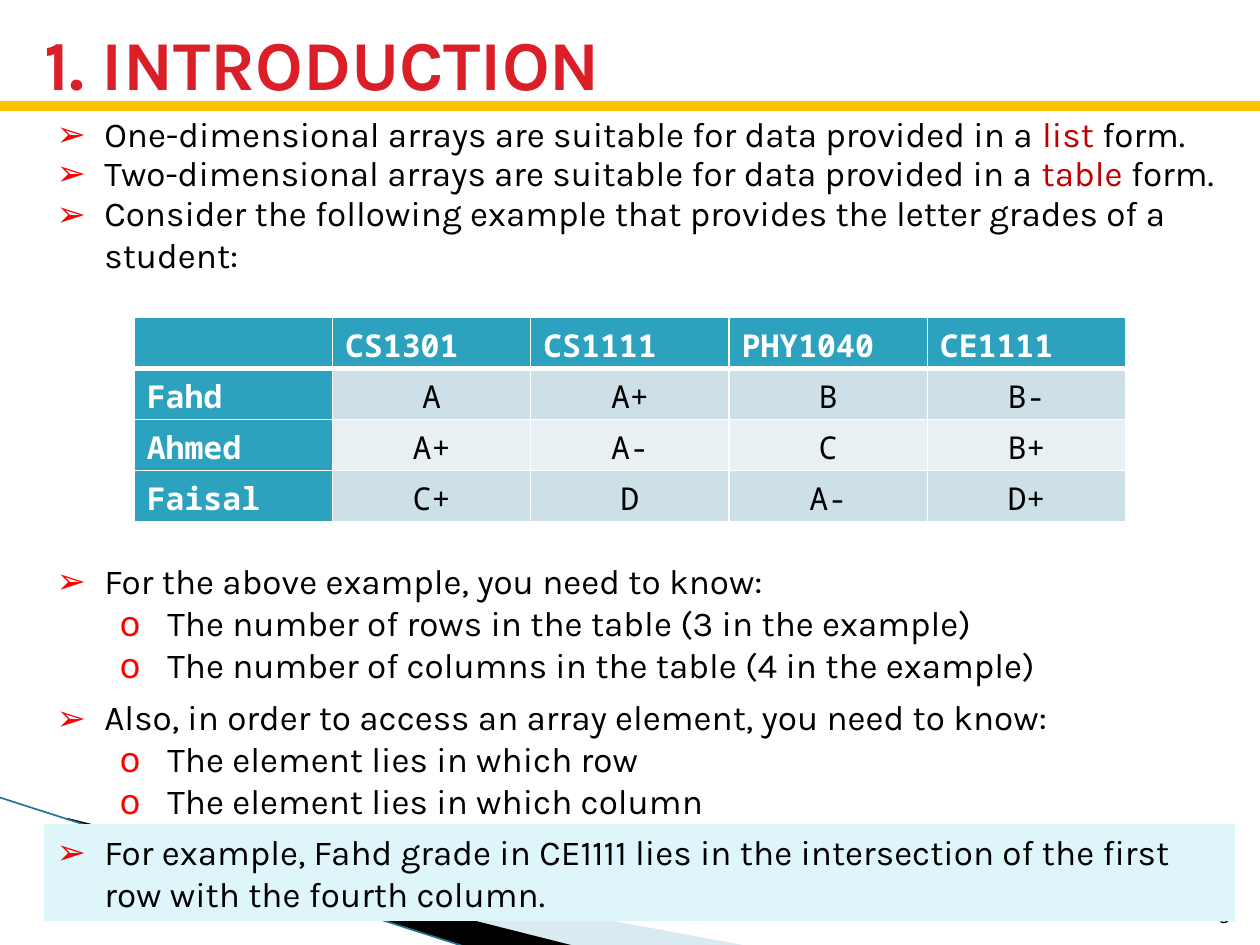
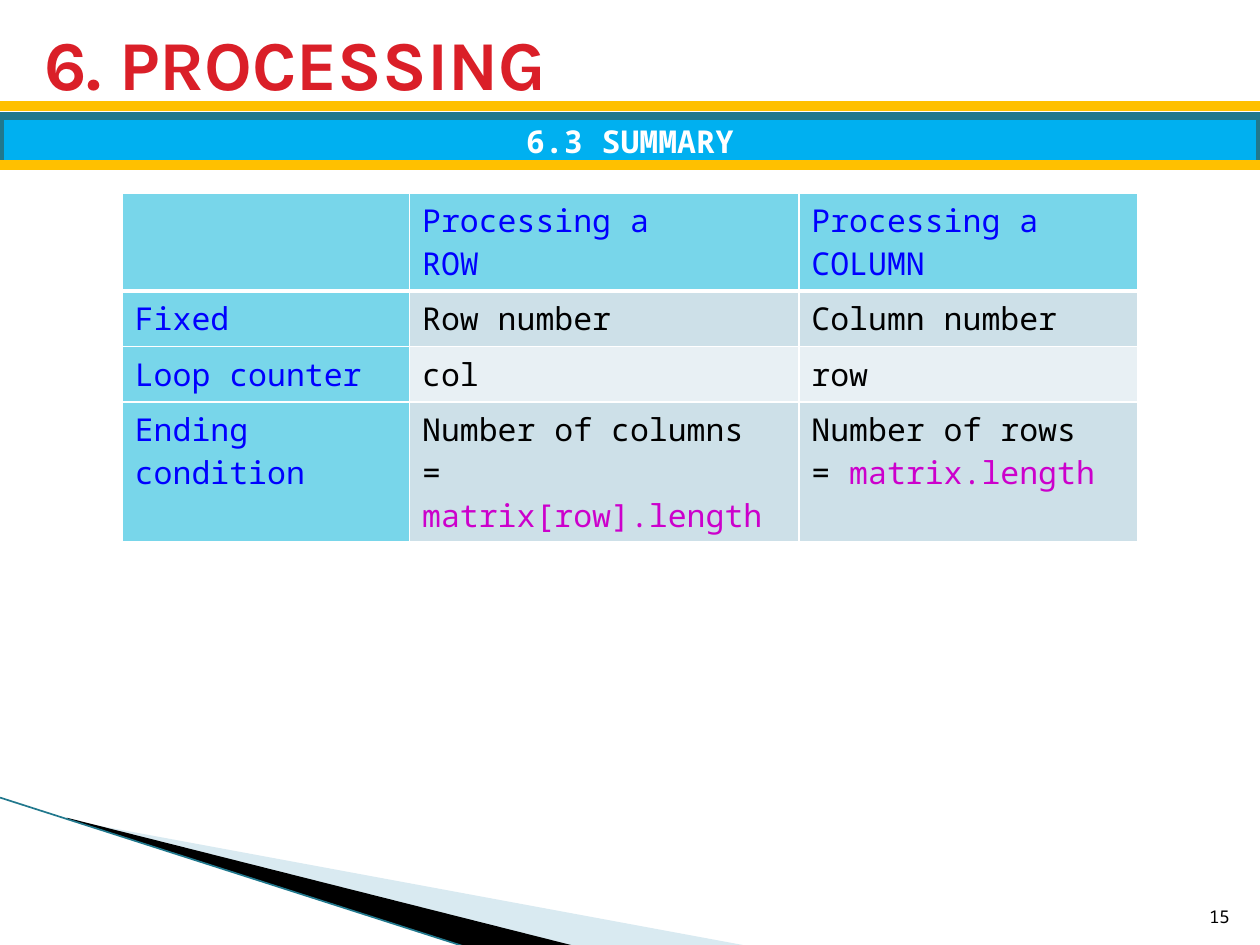
from lxml import etree
from pptx import Presentation
from pptx import util as u
from pptx.dml.color import RGBColor
from pptx.enum import shapes, text
from pptx.oxml.ns import qn

# The slide is a grid of 100 columns and 75 rows of square units.
COLUMNS, ROWS = 100, 75
UNIT = u.Inches(0.1)

TITLE_FONT, CODE_FONT = "Karla", "Noto Sans Mono"
TITLE_RED = RGBColor(0xDA, 0x1F, 0x28)
KEYWORD_RED = RGBColor(0xC0, 0x00, 0x00)
BULLET_RED = RGBColor(0xFF, 0x00, 0x00)
GOLD = RGBColor(0xFF, 0xC0, 0x00)
BLACK = RGBColor(0x00, 0x00, 0x00)
WHITE = RGBColor(0xFF, 0xFF, 0xFF)
TEAL = RGBColor(0x2D, 0xA2, 0xBF)
DARK_TEAL = RGBColor(0x21, 0x78, 0x8D)
AQUA = RGBColor(0x78, 0xD6, 0xEA)
PALE_AQUA = RGBColor(0xDE, 0xF5, 0xFA)
SKY = RGBColor(0x00, 0xB0, 0xF0)
SWOOSH_BLUE = RGBColor(0xD9, 0xEA, 0xF1)
HEADER_BLUE = RGBColor(0x00, 0x00, 0xFF)
CODE_PURPLE = RGBColor(0xCC, 0x00, 0xCC)
ROW_BANDS = [RGBColor(0xCD, 0xE0, 0xE8), RGBColor(0xE8, 0xF0, 0xF4)]

LEFT = text.PP_ALIGN.LEFT
CENTER = text.PP_ALIGN.CENTER
RIGHT = text.PP_ALIGN.RIGHT


def grid(*lengths):
    return [u.Emu(round(length * UNIT)) for length in lengths]


def set_paragraph(paragraph, content, size, font, color, bold=False, align=LEFT):
    """Fill a paragraph; content is a string or a list of strings and (string, colour) pairs."""
    paragraph.alignment = align
    paragraph.font.size = u.Pt(size)
    paragraph.font.name = font
    paragraph.font.bold = bold
    paragraph.font.color.rgb = color
    for part in [content] if isinstance(content, str) else content:
        words, accent = (part, None) if isinstance(part, str) else part
        run = paragraph.add_run()
        run.text = words
        if accent is not None:
            run.font.color.rgb = accent


def add_paragraphs(frame, contents):
    """Yield each content with its own paragraph, using the first one already there."""
    for index, content in enumerate(contents):
        yield (frame.add_paragraph() if index else frame.paragraphs[0]), content


def set_bullet(paragraph, level):
    paragraph.level = level
    properties = paragraph._p.get_or_add_pPr()
    properties.set("marL", str(u.Inches(0.38 + 0.5 * level)))
    properties.set("indent", str(-u.Inches(0.38)))
    color = etree.SubElement(properties, qn("a:buClr"))
    etree.SubElement(color, qn("a:srgbClr"), val=str(BULLET_RED))
    etree.SubElement(properties, qn("a:buFont"), typeface=CODE_FONT)
    etree.SubElement(properties, qn("a:buChar"), char="➢o"[level])


def add_line(slide, start, end, color, width):
    line = slide.shapes.add_connector(
        shapes.MSO_CONNECTOR.STRAIGHT, *grid(*start, *end))
    line.line.color.rgb = color
    line.line.width = u.Pt(width)
    etree.SubElement(line._element.spPr, qn("a:effectLst"))


def add_rule(slide, row):
    add_line(slide, (0, row), (COLUMNS, row), GOLD, 6)


def add_block(slide, box, fill):
    block = slide.shapes.add_shape(shapes.MSO_SHAPE.RECTANGLE, *grid(*box))
    block.shadow.inherit = False
    block.fill.solid()
    block.fill.fore_color.rgb = fill
    block.line.fill.background()
    block.text_frame.word_wrap = True
    return block


def add_swoosh(slide):
    """Draw the blue and black wedges and the thin line in the lower left corner."""
    wedges = [
        (SWOOSH_BLUE, [(5.5, 65.1), (59.5, 75.1), (45.6, 75.1), (5.5, 65)]),
        (BLACK, [(5.3, 64.9), (45.7, 75.1), (37.2, 75.2), (5.4, 65)]),
    ]
    for color, corners in wedges:
        points = [grid(*corner) for corner in corners]
        outline = slide.shapes.build_freeform(*points[0])
        outline.add_line_segments(points[1:])
        wedge = outline.convert_to_shape()
        wedge.shadow.inherit = False
        wedge.fill.solid()
        wedge.fill.fore_color.rgb = color
        wedge.line.fill.background()
    add_line(slide, (0, 63.3), (37.1, 75.2), DARK_TEAL, 0.95)


def add_page(deck, heading, number):
    """Add a slide with the shared title, rule, swoosh and slide number."""
    slide = deck.slides.add_slide(deck.slide_layouts[5])
    add_swoosh(slide)
    add_rule(slide, 8.4)

    title = slide.shapes.title
    title.left, title.top, title.width, title.height = grid(2.5, 1.7, 94.7, 6.5)
    title.text_frame.vertical_anchor = text.MSO_ANCHOR.MIDDLE
    set_paragraph(title.text_frame.paragraphs[0], heading, 40, TITLE_FONT, TITLE_RED, True)

    footer = slide.shapes.add_textbox(*grid(94.6, 70.1, 4, 4)).text_frame
    footer.word_wrap = True
    footer.vertical_anchor = text.MSO_ANCHOR.BOTTOM
    set_paragraph(footer.paragraphs[0], str(number), 10, CODE_FONT, BLACK, align=RIGHT)
    return slide


def add_bullets(slide, top, height, point, subpoints=(), fill=None):
    box = (3.5, top, 94.5, height)
    if fill is None:
        frame = slide.shapes.add_textbox(*grid(*box)).text_frame
        frame.word_wrap = True
    else:
        frame = add_block(slide, box, fill).text_frame
    frame.vertical_anchor = text.MSO_ANCHOR.TOP
    for paragraph, content in add_paragraphs(frame, [point, *subpoints]):
        set_bullet(paragraph, 0 if content is point else 1)
        set_paragraph(paragraph, content, 20, TITLE_FONT, BLACK)


def add_section_band(slide, top, height, label):
    band = add_block(slide, (0, top, COLUMNS, height), SKY)
    band.line.color.rgb = DARK_TEAL
    band.line.width = u.Pt(4.33)
    band.text_frame.vertical_anchor = text.MSO_ANCHOR.MIDDLE
    set_paragraph(band.text_frame.paragraphs[0], label, 18, CODE_FONT, WHITE, True, CENTER)
    add_rule(slide, top + height)


def set_borders(cell, row):
    """Draw white borders, with a thick one under the header row."""
    widths = {"L": 1, "R": 1, "T": 3 if row == 1 else 1, "B": 3 if row == 0 else 1}
    properties = cell._tc.get_or_add_tcPr()
    for side, width in widths.items():
        border = etree.SubElement(properties, qn(f"a:ln{side}"), w=str(u.Pt(width)))
        fill = etree.SubElement(border, qn("a:solidFill"))
        etree.SubElement(fill, qn("a:srgbClr"), val=str(WHITE))


def add_grid_table(slide, corner, widths, heights, rows, head_fill, head_color,
                   head_bold=False, body_align=LEFT):
    """Add a table with a header row and column; each cell is a list of paragraphs."""
    table = slide.shapes.add_table(
        len(rows), len(widths), *grid(*corner, sum(widths), sum(heights))).table
    table.first_row = table.horz_banding = False
    for column, width in zip(table.columns, grid(*widths)):
        column.width = width
    for row, height in zip(table.rows, grid(*heights)):
        row.height = height

    for r, row in enumerate(rows):
        for c, lines in enumerate(row):
            cell = table.cell(r, c)
            is_head = r == 0 or c == 0
            set_borders(cell, r)
            cell.fill.solid()
            cell.fill.fore_color.rgb = head_fill if is_head else ROW_BANDS[(r - 1) % 2]
            contents = [lines] if isinstance(lines, str) else lines
            for paragraph, content in add_paragraphs(cell.text_frame, contents):
                if is_head:
                    set_paragraph(paragraph, content, 18, CODE_FONT, head_color, head_bold)
                else:
                    set_paragraph(paragraph, content, 18, CODE_FONT, BLACK, align=body_align)


def build_introduction(deck):
    slide = add_page(deck, "1. INTRODUCTION", 3)
    for top, form, dimension in [(8.4, "list", "One"), (11.5, "table", "Two")]:
        add_bullets(slide, top, 4.4, [
            f"{dimension}-dimensional arrays are suitable for data provided in a ",
            (f"{form} ", KEYWORD_RED), "form."])
    add_bullets(slide, 14.7, 7.7, "Consider the following example that provides "
                "the letter grades of a student:")

    grades = [
        ["", "CS1301", "CS1111", "PHY1040", "CE1111"],
        ["Fahd", "A", "A+", "B", "B-"],
        ["Ahmed", "A+", "A-", "C", "B+"],
        ["Faisal", "C+", "D", "A-", "D+"],
    ]
    add_grid_table(slide, (10.65, 25.2), [15.74] * 5, [4.05] * 4, grades,
                   TEAL, WHITE, head_bold=True, body_align=CENTER)

    add_bullets(slide, 43.9, 11.1, "For the above example, you need to know:", [
        "The number of rows in the table (3 in the example)",
        "The number of columns in the table (4 in the example)"])
    add_bullets(slide, 54.7, 11.1,
                "Also, in order to access an array element, you need to know:",
                ["The element lies in which row", "The element lies in which column"])
    add_bullets(slide, 65.4, 7.7, "For example, Fahd grade in CE1111 lies in the "
                "intersection of the first row with the fourth column.", fill=PALE_AQUA)


def build_summary(deck):
    slide = add_page(deck, "6. PROCESSING", 15)
    add_section_band(slide, 9.2, 3.9, "6.3 SUMMARY")
    summary = [
        ["", ["Processing a", "ROW"], "Processing a COLUMN"],
        ["Fixed", "Row number", "Column number"],
        ["Loop counter", "col", "row"],
        ["Ending condition",
         ["Number of columns", ["= ", ("matrix[row].length", CODE_PURPLE)]],
         ["Number of rows", ["= ", ("matrix.length", CODE_PURPLE)]]],
    ]
    add_grid_table(slide, (9.7, 15.3), [22.8, 30.9, 26.9], [7.8, 4.4, 4.4, 11.1],
                   summary, AQUA, HEADER_BLUE)


def main():
    deck = Presentation()
    deck.slide_width, deck.slide_height = grid(COLUMNS, ROWS)
    build_introduction(deck)
    build_summary(deck)
    deck.save("out.pptx")


if __name__ == "__main__":
    main()
